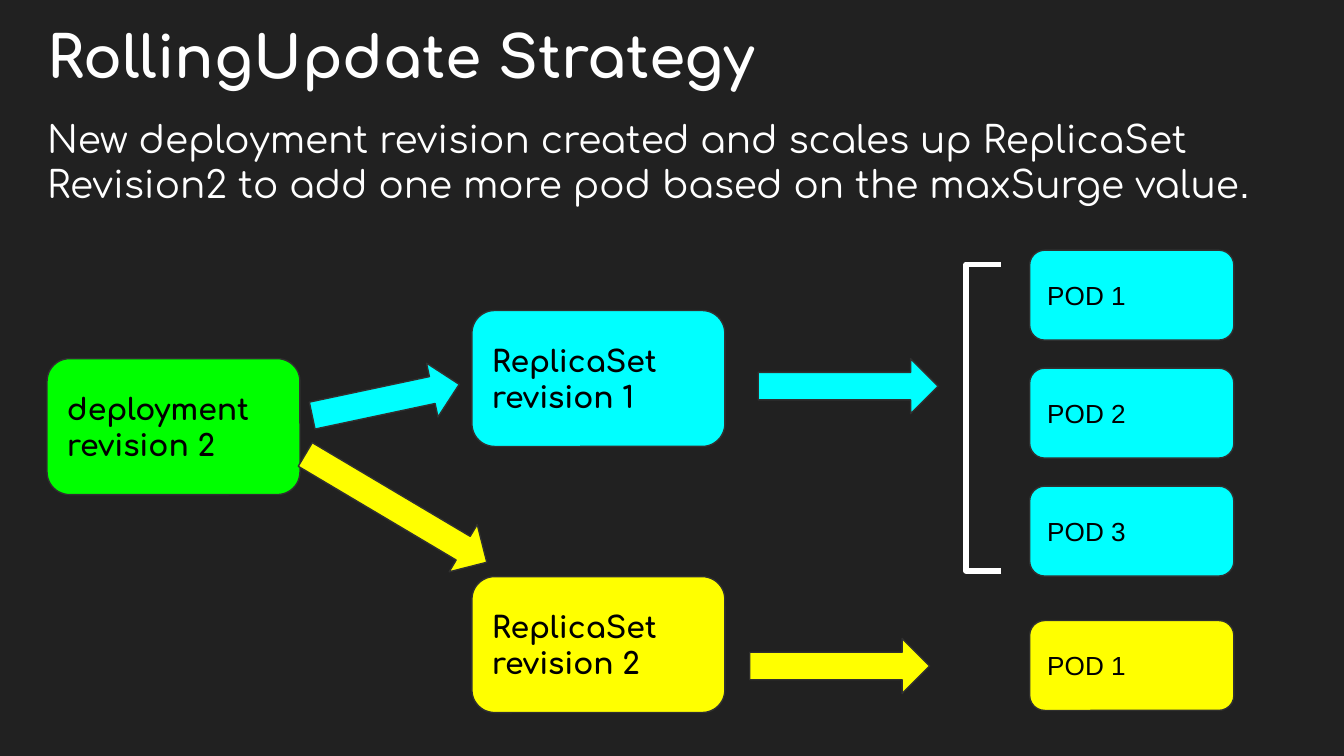
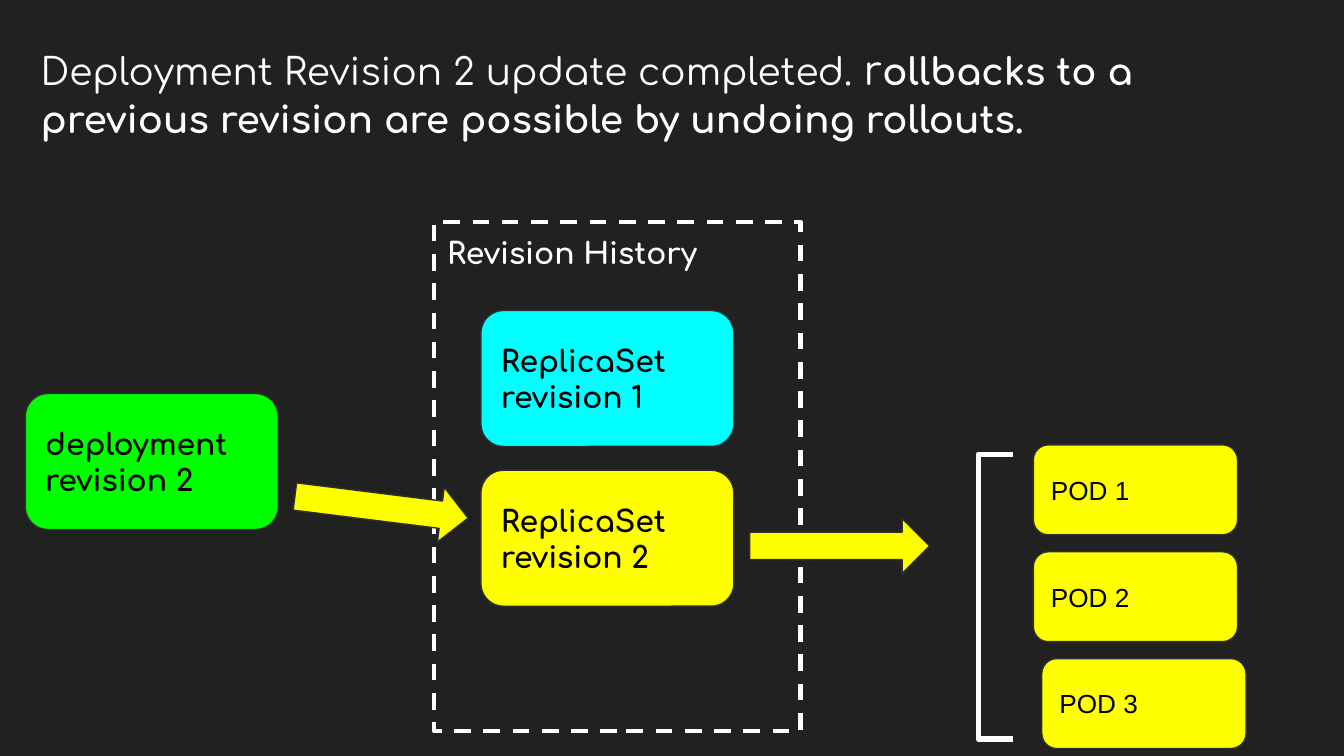
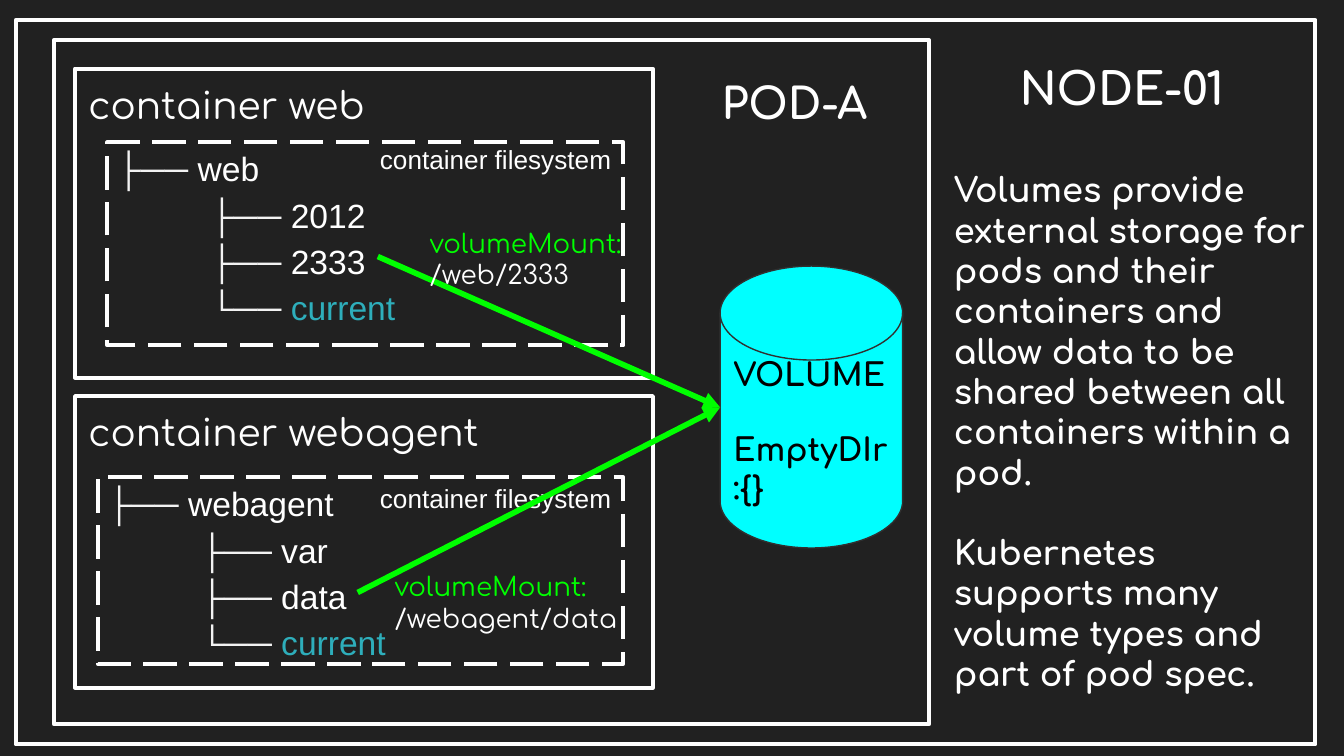
import pptx
import pptx.dml.color
import pptx.enum.dml
import pptx.enum.shapes
import pptx.enum.text
import pptx.oxml
import pptx.oxml.ns
import pptx.util

Cm = pptx.util.Cm
Pt = pptx.util.Pt
SHAPE = pptx.enum.shapes.MSO_SHAPE
DASH = pptx.enum.dml.MSO_LINE
ANCHOR = pptx.enum.text.MSO_ANCHOR


class Theme:
    background = "212121"
    white = "FFFFFF"
    black = "000000"
    outline = "303030"
    green = "00FF00"
    cyan = "00FFFF"
    yellow = "FFFF00"
    branch = "F2F2F2"
    symlink = "2EAEBB"
    display = "Comfortaa"
    plain = "Arial"
    title = 31
    node = 24
    pod_name = 23
    emphasis = 22
    body = 20
    notes = 18
    volume = 17
    card = 16
    label = 14
    thin = 0.75
    frame = 2.25
    heavy = 3


CARD_SIZE = (4.78, 2.57)
POD_SIZE = (3.86, 1.7)
ARROW_HEIGHT = 1.04
BRACKET_WIDTH = 0.66


def draw(slide, kind, box, fill=None, line=Theme.outline, weight=Theme.thin, dash=None, rotation=0):
    """Add a preset shape, or a text box when kind is None; box is in centimetres."""
    left, top, width, height = map(Cm, box)
    if kind is None:
        return slide.shapes.add_textbox(left, top, width, height)
    shape = slide.shapes.add_shape(kind, left, top, width, height)
    shape.shadow.inherit = False
    shape.rotation = rotation
    if fill:
        shape.fill.solid()
        shape.fill.fore_color.rgb = pptx.dml.color.RGBColor.from_string(fill)
    else:
        shape.fill.background()
    shape.line.color.rgb = pptx.dml.color.RGBColor.from_string(line)
    shape.line.width = Pt(weight)
    if dash:
        shape.line.dash_style = dash
    if kind == SHAPE.LEFT_BRACKET:
        shape.adjustments[0] = 0
    return shape


def write(shape, *paragraphs, size=Theme.body, font=Theme.display, color=Theme.white, bold=False,
          anchor=ANCHOR.TOP, insets=(0.25, 0.25), spacing=None, gap=0, indents=()):
    """Each paragraph is a string or a list of (text, changed format) runs."""
    frame = shape.text_frame
    frame.word_wrap = True
    frame.vertical_anchor = anchor
    frame.margin_left = frame.margin_right = Cm(insets[0])
    frame.margin_top = frame.margin_bottom = Cm(insets[1])
    for index, runs in enumerate(paragraphs):
        paragraph = frame.add_paragraph() if index else frame.paragraphs[0]
        paragraph.alignment = pptx.enum.text.PP_ALIGN.LEFT
        if spacing:
            paragraph.line_spacing = spacing
        if index and gap:
            paragraph.space_before = Pt(gap)
        if indents:
            properties = paragraph._p.get_or_add_pPr()
            properties.set("marL", str(Cm(indents[index])))
            properties.set("indent", "0")
        for text, changes in [(runs, {})] if isinstance(runs, str) else runs:
            style = {"size": size, "font": font, "color": color, "bold": bold, **changes}
            run = paragraph.add_run()
            run.text = text
            run.font.size = Pt(style["size"])
            run.font.name = style["font"]
            run.font.bold = style["bold"]
            run.font.color.rgb = pptx.dml.color.RGBColor.from_string(style["color"])


presentation = pptx.Presentation()
presentation.slide_width = Cm(25.4)
presentation.slide_height = Cm(14.29)
master_fill = presentation.slide_master.background.fill
master_fill.solid()
master_fill.fore_color.rgb = pptx.dml.color.RGBColor.from_string(Theme.background)
blank = presentation.slide_layouts[6]
rolling, completed, volumes = [presentation.slides.add_slide(blank) for _ in range(3)]

# Headings of the two rollout slides
write(draw(rolling, None, (0.86, 0.36, 20.45, 1.6)), "RollingUpdate Strategy",
      size=Theme.title, bold=True, insets=(0.03, 0.03))
write(draw(rolling, None, (0.86, 2.16, 23.7, 2.34)),
      [("New deployment revision created and scales up ReplicaSet Revision2 "
        "to add one more pod based on the maxSurge value", {}),
       (".", {"font": Theme.plain})],
      insets=(0.03, 0.03), spacing=1.01)
write(draw(completed, None, (0.74, 0.76, 23.7, 2.34)),
      [("Deployment Revision 2 update completed. ", {}),
       ("r", {"size": Theme.emphasis}),
       ("ollbacks to a previous revision are possible by undoing rollouts.", {"bold": True})],
      insets=(0.03, 0.03), spacing=1.06)

history = draw(completed, SHAPE.RECTANGLE, (8.2, 4.19, 6.93, 9.63),
               line=Theme.white, weight=Theme.frame, dash=DASH.DASH)
write(history, "Revision History", size=Theme.card, bold=True)

# Rollout diagrams
deployment = ["deployment revision 2"]
revision_1 = ["ReplicaSet", "revision 1"]
revision_2 = ["ReplicaSet", "revision 2"]
cards = [
    (rolling, 0.89, 6.78, Theme.green, deployment),
    (rolling, 8.92, 5.87, Theme.cyan, revision_1),
    (rolling, 8.92, 10.9, Theme.yellow, revision_2),
    (completed, 0.48, 7.44, Theme.green, deployment),
    (completed, 9.09, 5.87, Theme.cyan, revision_1),
    (completed, 9.09, 8.89, Theme.yellow, revision_2),
]
for slide, left, top, fill, lines in cards:
    card = draw(slide, SHAPE.ROUNDED_RECTANGLE, (left, top, *CARD_SIZE), fill)
    write(card, *lines, size=Theme.card, color=Theme.black, bold=True, anchor=ANCHOR.MIDDLE)

pods = [(rolling, 19.46, 4.73 + 2.23 * row, Theme.cyan, row + 1) for row in range(3)]
pods.append((rolling, 19.46, 11.73, Theme.yellow, 1))
pods += [(completed, left, 8.41 + 2.02 * row, Theme.yellow, row + 1)
         for row, left in enumerate((19.53, 19.53, 19.69))]
for slide, left, top, fill, number in pods:
    pod = draw(slide, SHAPE.FLOWCHART_ALTERNATE_PROCESS, (left, top, *POD_SIZE), fill)
    write(pod, f"POD {number}", size=Theme.label, font=Theme.plain, color=Theme.black,
          anchor=ANCHOR.MIDDLE)

arrows = [
    (rolling, 14.33, 6.78, 3.4, 0, Theme.cyan),
    (rolling, 5.49, 9.09, 3.99, 30.7, Theme.yellow),
    (rolling, 5.87, 7.04, 2.84, 348, Theme.cyan),
    (rolling, 14.17, 12.07, 3.4, 0, Theme.yellow),
    (completed, 5.56, 9.07, 3.3, 7.1, Theme.yellow),
    (completed, 14.17, 9.8, 3.4, 0, Theme.yellow),
]
for slide, left, top, width, rotation, fill in arrows:
    draw(slide, SHAPE.RIGHT_ARROW, (left, top, width, ARROW_HEIGHT), fill, rotation=rotation)

for slide, left, top, height in [(rolling, 18.26, 5, 5.79), (completed, 18.49, 8.59, 5.38)]:
    draw(slide, SHAPE.LEFT_BRACKET, (left, top, BRACKET_WIDTH, height),
         line=Theme.white, weight=Theme.heavy)

# Node, pod and shared volume
for box in [(0.3, 0.38, 24.56, 13.69), (1.02, 0.76, 16.54, 12.93)]:
    draw(volumes, SHAPE.RECTANGLE, box, line=Theme.white, weight=Theme.frame)

disk = draw(volumes, SHAPE.FLOWCHART_MAGNETIC_DISK, (13.61, 5.03, 3.45, 5.33), Theme.cyan)
write(disk, "VOLUME", "EmptyDIr:{}", size=Theme.volume, color=Theme.black, bold=True,
      anchor=ANCHOR.MIDDLE, gap=20)

containers = [
    {"name": "web", "box": (1.42, 1.3, 10.92, 5.84), "files": (2.03, 2.69, 9.75, 3.84),
     "entries": ("2012", "2333"), "caption_top": 2.46,
     "mount": (7.87, 4.04), "mount_path": "/web/2333", "start": (7.14, 4.85)},
    {"name": "webagent", "box": (1.42, 7.49, 10.92, 5.51), "files": (1.85, 9.02, 9.93, 3.53),
     "entries": ("var", "data"), "caption_top": 8.86,
     "mount": (7.21, 10.54), "mount_path": "/webagent/data", "start": (6.76, 11.2)},
]
for container in containers:
    outline = draw(volumes, SHAPE.RECTANGLE, container["box"],
                   line=Theme.white, weight=Theme.frame)
    write(outline, f"container {container['name']}")

    files = draw(volumes, SHAPE.RECTANGLE, container["files"],
                 line=Theme.white, weight=Theme.frame, dash=DASH.LONG_DASH)
    tree = [[("├── ", {"color": Theme.branch}), (entry, {})]
            for entry in (container["name"], *container["entries"])]
    tree.append([("└── ", {"color": Theme.branch}), ("current", {"color": Theme.symlink})])
    write(files, *tree, size=Theme.notes, font=Theme.plain, insets=(0, 0), spacing=1.15,
          indents=(0.18, 1.94, 1.94, 1.94))

    caption = draw(volumes, None, (6.93, container["caption_top"], 5.94, 1.17))
    write(caption, "container filesystem", size=Theme.label, font=Theme.plain)

    link = volumes.shapes.add_connector(pptx.enum.shapes.MSO_CONNECTOR.STRAIGHT,
                                        *map(Cm, container["start"]), Cm(13.61), Cm(7.7))
    link.line.color.rgb = pptx.dml.color.RGBColor.from_string(Theme.green)
    link.line.width = Pt(Theme.heavy)
    arrowhead = pptx.oxml.parse_xml(
        f'<a:tailEnd {pptx.oxml.ns.nsdecls("a")} type="triangle"/>')
    link.line._get_or_add_ln().append(arrowhead)
    link._element.spPr.append(
        pptx.oxml.parse_xml(f'<a:effectLst {pptx.oxml.ns.nsdecls("a")}/>'))

    mount = draw(volumes, None, (*container["mount"], 4.98, 1.6))
    write(mount, [("volumeMount:", {"color": Theme.green})], container["mount_path"],
          size=Theme.label)

write(draw(volumes, None, (13.39, 1.19, 3.3, 1.37)), "POD-A", size=Theme.pod_name, bold=True)
write(draw(volumes, None, (19.02, 0.89, 4.88, 1.17)), "NODE-01", size=Theme.node, bold=True)
write(draw(volumes, None, (17.78, 2.95, 7.19, 10.06)),
      "Volumes provide external storage for pods and their containers and allow data "
      "to be shared between all containers within a pod.",
      "Kubernetes supports many volume types and part of pod spec.",
      size=Theme.notes, bold=True, gap=21.6)

presentation.save("out.pptx")
